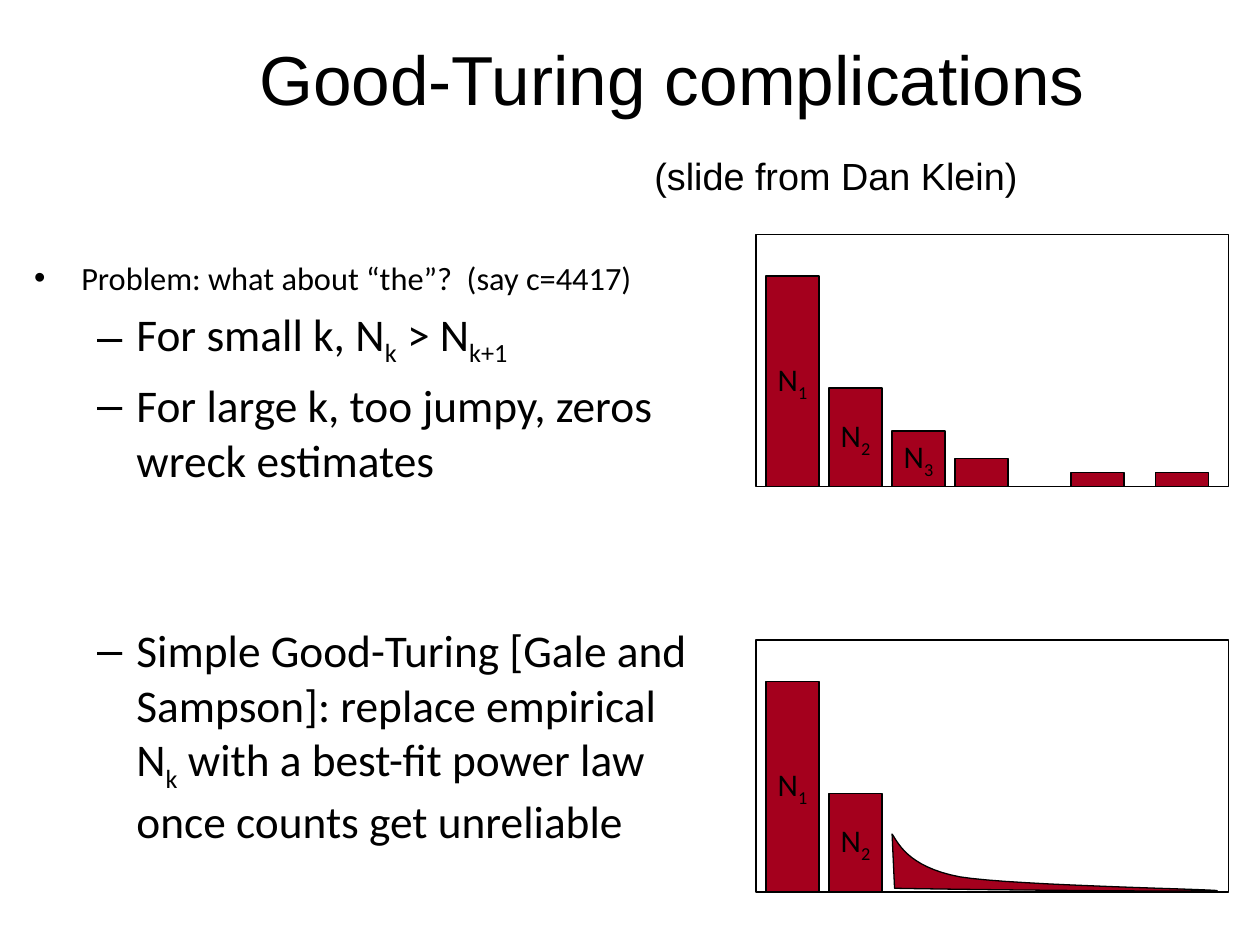
"""Build the Good-Turing complications slide."""
from pptx import Presentation
from pptx import util as u
from pptx.dml.color import RGBColor
from pptx.enum import shapes, text

TITLE = "Good-Turing complications"
CREDIT = "(slide from Dan Klein)"
BULLETS = [
    (0, 18.5, None, ["Problem: what about “the”?  (say c=4417)"]),
    (1, 25.9, None, ["For small k, N", "k", " > N", "k+1"]),
    (1, 25.9, None, ["For large k, too jumpy, zeros wreck estimates"]),
    (1, 25.9, 78, ["Simple Good-Turing [Gale and Sampson]: replace empirical N", "k",
                   " with a best-fit power law once counts get unreliable"]),
]
CHART_LEFT, CHART_WIDTH, CHART_HEIGHT, BAR_WIDTH = 6, 3.75, 2, 0.42
EMPIRICAL = [(0.08, 1.67, "1"), (0.58, 0.78, "2"), (1.08, 0.44, "3"),
             (1.58, 0.22, ""), (2.5, 0.11, ""), (3.17, 0.11, "")]
CHARTS = [(1.86, EMPIRICAL), (5.08, EMPIRICAL[:2])]
TAIL_START = (7.08, 6.62)
TAIL_CURVES = [
    ((7.12, 6.67), (7.19, 6.88), (7.62, 6.96)),
    ((8.05, 7.03), (9.75, 7.06), (9.66, 7.07)),
    ((9.57, 7.08), (7.52, 7.06), (7.1, 7.05)),
]
RED, BLACK = "A4001D", "000000"


def color(target, value):
    target.rgb = RGBColor.from_string(value)


def style_font(font, name, size):
    font.name, font.size = name, u.Pt(size)
    color(font.color, BLACK)


def style_shape(shape, fill=None):
    shape.shadow.inherit = False
    if fill:
        shape.fill.solid()
        color(shape.fill.fore_color, fill)
    else:
        shape.fill.background()
    color(shape.line.color, BLACK)
    shape.line.width = u.Pt(0.75)


def add_spans(para, parts):
    """Add runs in which every second one is a subscript."""
    for index, part in enumerate(parts):
        span = para.add_run()
        span.text = part
        if index % 2:
            span.font._element.set("baseline", "-25000")


def place(shape, left, top, width, height):
    shape.left, shape.top = u.Inches(left), u.Inches(top)
    shape.width, shape.height = u.Inches(width), u.Inches(height)


def add_box(group, left, top, width, height, fill=None):
    box = group.shapes.add_shape(shapes.MSO_SHAPE.RECTANGLE, u.Inches(left), u.Inches(top),
                                 u.Inches(width), u.Inches(height))
    style_shape(box, fill)
    return box


def add_histogram(slide, top, bars):
    group = slide.shapes.add_group_shape()
    add_box(group, CHART_LEFT, top, CHART_WIDTH, CHART_HEIGHT)
    for offset, height, label in bars:
        bar = add_box(group, CHART_LEFT + offset, top + CHART_HEIGHT - height,
                      BAR_WIDTH, height, RED)
        if label:
            frame = bar.text_frame
            frame.word_wrap = False
            frame.vertical_anchor = text.MSO_ANCHOR.MIDDLE
            para = frame.paragraphs[0]
            para.alignment = text.PP_ALIGN.CENTER
            style_font(para.font, "Calibri", 18)
            add_spans(para, ["N", label])
    return group


def curve_points(start, curves, steps=16):
    """Return points along joined cubic curves, in EMU."""
    points = []
    for first, second, end in curves:
        corners = (start, first, second, end)
        for step in range(1, steps + 1):
            t = step / steps
            weights = ((1 - t) ** 3, 3 * t * (1 - t) ** 2, 3 * t * t * (1 - t), t ** 3)
            points.append(tuple(u.Inches(sum(w * c[axis] for w, c in zip(weights, corners)))
                                for axis in (0, 1)))
        start = end
    return points


def add_tail(group):
    left, top = TAIL_START
    builder = group.shapes.build_freeform(u.Inches(left), u.Inches(top))
    builder.add_line_segments(curve_points(TAIL_START, TAIL_CURVES), close=True)
    style_shape(builder.convert_to_shape(), RED)


def fill_title(title):
    place(title, 1.25, 0.29, 8.17, 1.31)
    frame = title.text_frame
    frame.auto_size = text.MSO_AUTO_SIZE.NONE
    frame.vertical_anchor = text.MSO_ANCHOR.TOP
    frame.margin_top = 0
    heading, credit = frame.paragraphs[0], frame.add_paragraph()
    for para, words, size in ((heading, TITLE, 39.6), (credit, CREDIT, 21.6)):
        para.text = words
        para.alignment = text.PP_ALIGN.CENTER
        style_font(para.font, "Arial", size)
    credit.space_before = u.Pt(19)
    credit._p.get_or_add_pPr().set("marL", str(u.Inches(2.6)))


def fill_body(body):
    place(body, 0.17, 2, 5.5, 4.97)
    frame = body.text_frame
    frame.auto_size = text.MSO_AUTO_SIZE.NONE
    for index, (level, size, gap, parts) in enumerate(BULLETS):
        para = frame.add_paragraph() if index else frame.paragraphs[0]
        para.level = level
        if gap:
            para.space_before = u.Pt(gap)
        style_font(para.font, "Calibri", size)
        add_spans(para, parts)


def main():
    deck = Presentation()
    deck.slide_width, deck.slide_height = u.Inches(10), u.Inches(7.5)
    slide = deck.slides.add_slide(deck.slide_layouts[1])
    fill_title(slide.shapes.title)
    fill_body(slide.placeholders[1])
    groups = [add_histogram(slide, top, bars) for top, bars in CHARTS]
    add_tail(groups[-1])
    deck.save("out.pptx")


if __name__ == "__main__":
    main()
